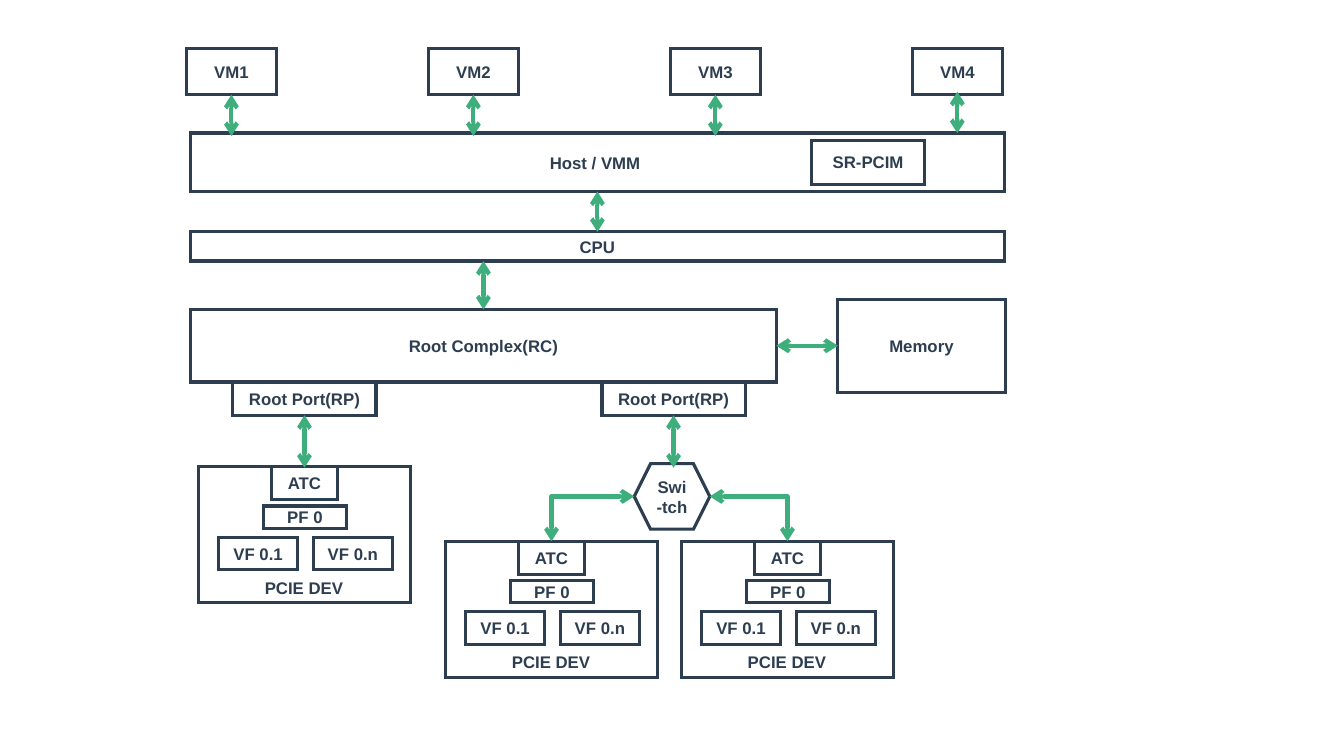
from dataclasses import dataclass

from lxml import etree
from pptx import Presentation, util as u
from pptx.dml.color import RGBColor
from pptx.enum import shapes, text
from pptx.oxml.ns import qn


@dataclass
class Theme:
    ink: RGBColor = RGBColor.from_string("2C3E50")
    link: RGBColor = RGBColor.from_string("3EAF7C")
    font: str = "Arial"
    size: float = 12
    outline: float = 2.25
    stroke: float = 3


theme = Theme()
RECT, HEXAGON = shapes.MSO_SHAPE.RECTANGLE, shapes.MSO_SHAPE.HEXAGON
STRAIGHT, ELBOW = shapes.MSO_CONNECTOR.STRAIGHT, shapes.MSO_CONNECTOR.ELBOW

vm_names = ["VM1", "VM2", "VM3", "VM4"]
vm_left, vm_top, vm_pitch, vm_size = 1.85, 0.48, 2.4, (0.89, 0.46)
vm_link_tops = [0.94, 0.94, 0.94, 0.91]
vm_link_length = 0.41

left, full_width = 1.89, 8.07
layers = {
    "Host / VMM ": (left, 1.32, full_width, 0.58),
    "SR-PCIM": (8.05, 1.39, 1.12, 0.44),
    "CPU": (left, 2.3, full_width, 0.29),
    "Root Complex(RC)": (left, 3.07, 5.81, 0.72),
    "Memory": (8.31, 2.97, 1.66, 0.92),
}
port_name, port_lefts, port_top, port_size = "Root Port(RP)", (2.31, 5.97), 3.79, (1.42, 0.33)
port_link_bottom = 4.64
switch_name, switch_area = "Swi-tch", (6.29, 4.6, 0.75, 0.65)

device_name, device_size = "PCIE DEV", (2.1, 1.35)
device_origins = [(1.97, 4.63), (4.42, 5.37), (6.76, 5.37)]
device_parts = [
    ("", (0, 0, *device_size)),
    ("ATC", (0.72, 0, 0.66, 0.33)),
    ("PF 0", (0.64, 0.39, 0.83, 0.22)),
    ("VF 0.1", (0.2, 0.7, 0.78, 0.32)),
    ("VF 0.n", (1.14, 0.7, 0.78, 0.32)),
]
device_caption = (0.55, 1.05, 0.99, 0.3)

deck = Presentation()
deck.slide_width, deck.slide_height = u.Inches(13.33), u.Inches(7.5)
slide = deck.slides.add_slide(deck.slide_layouts[6])


def inches(area):
    return [u.Inches(length) for length in area]


def write(holder, words):
    paragraph = holder.text_frame.paragraphs[0]
    paragraph.alignment = text.PP_ALIGN.CENTER
    run = paragraph.add_run()
    run.text = words
    run.font.name, run.font.size, run.font.bold = theme.font, u.Pt(theme.size), True
    run.font.color.rgb = theme.ink


def box(parent, words, area, kind=RECT):
    block = parent.add_shape(kind, *inches(area))
    block.shadow.inherit = False
    block.fill.background()
    block.line.color.rgb = theme.ink
    block.line.width = u.Pt(theme.outline)
    etree.SubElement(block._element.spPr.find(qn("a:ln")), qn("a:miter"), lim="800000")
    block.text_frame.word_wrap = True
    block.text_frame.vertical_anchor = text.MSO_ANCHOR.MIDDLE
    if words:
        write(block, words)


def device(origin):
    parts = slide.shapes.add_group_shape().shapes

    def place(area):
        return (origin[0] + area[0], origin[1] + area[1], *area[2:])

    for words, area in device_parts:
        box(parts, words, place(area))
    caption = parts.add_textbox(*inches(place(device_caption)))
    caption.text_frame.word_wrap = False
    write(caption, device_name)


def arrow(start, end, kind=STRAIGHT):
    link = slide.shapes.add_connector(kind, *inches((*start, *end)))
    link.line.color.rgb = theme.link
    link.line.width = u.Pt(theme.stroke)
    properties = link._element.spPr
    if kind == ELBOW:
        properties.find(qn("a:prstGeom")).set("prst", "bentConnector2")
    for tip in ("a:headEnd", "a:tailEnd"):
        etree.SubElement(properties.find(qn("a:ln")), qn(tip), type="arrow")
    etree.SubElement(properties, qn("a:effectLst"))


def center(area):
    return area[0] + area[2] / 2


def middle(area):
    return area[1] + area[3] / 2


def right(area):
    return area[0] + area[2]


def bottom(area):
    return area[1] + area[3]


vms = [(vm_left + i * vm_pitch, vm_top, *vm_size) for i in range(len(vm_names))]
ports = [(x, port_top, *port_size) for x in port_lefts]
for name, area in [*zip(vm_names, vms), *layers.items(), *((port_name, p) for p in ports)]:
    box(slide.shapes, name, area)
box(slide.shapes, switch_name, switch_area, HEXAGON)
for origin in device_origins:
    device(origin)

host, _, cpu, root, memory = layers.values()
for vm, top in zip(vms, vm_link_tops):
    arrow((center(vm), top), (center(vm), top + vm_link_length))
for upper, lower, x in [(host, cpu, center(host)), (cpu, root, center(root))]:
    arrow((x, bottom(upper)), (x, lower[1]))
arrow((right(root), middle(root)), (memory[0], middle(root)))
for port in ports:
    arrow((center(port), bottom(port)), (center(port), port_link_bottom))

switch_sides = (switch_area[0], right(switch_area))
for side, (x, y) in zip(switch_sides, device_origins[1:]):
    arrow((side, middle(switch_area)), (x + device_size[0] / 2, y), ELBOW)

deck.save("out.pptx")
